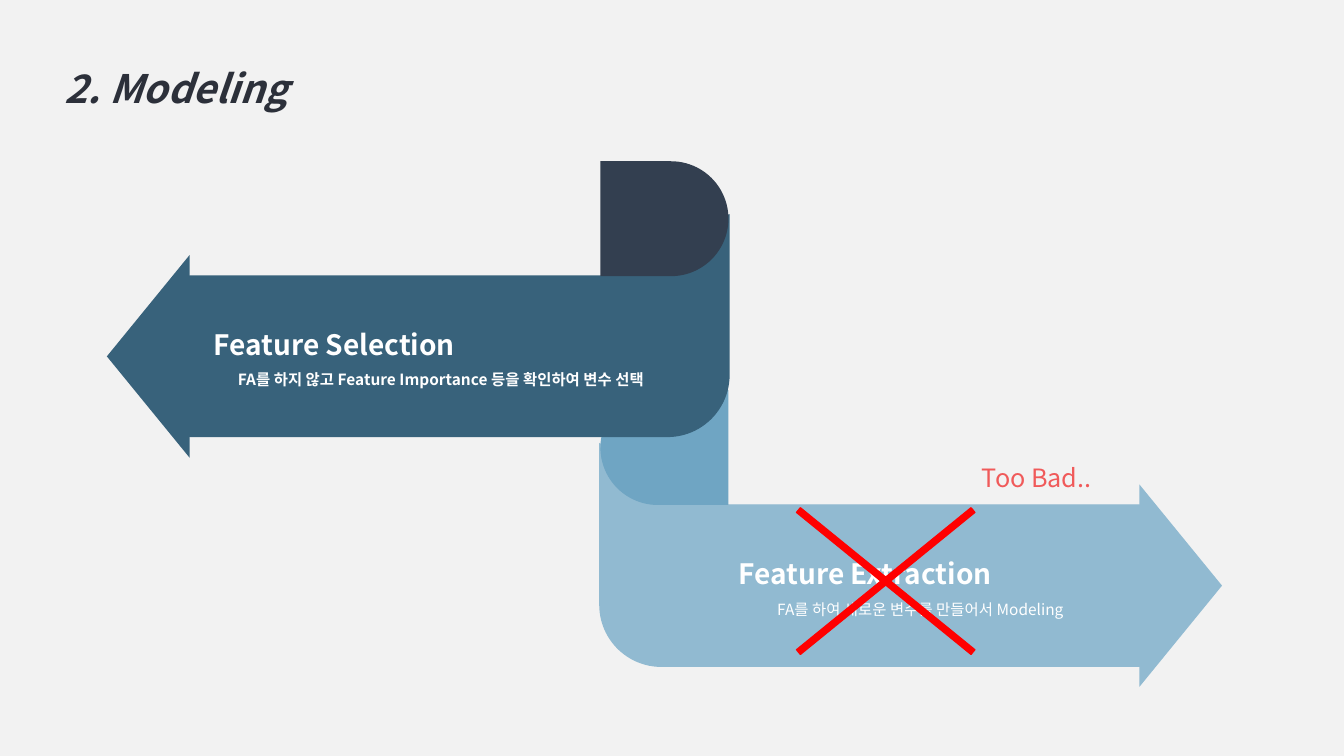
from math import cos, pi, sin

from lxml.etree import SubElement
from pptx import Presentation
from pptx.dml.color import RGBColor
from pptx.enum.shapes import MSO_SHAPE
from pptx.enum.text import MSO_ANCHOR, MSO_AUTO_SIZE, PP_ALIGN
from pptx.oxml.ns import qn
from pptx.util import Inches, Pt

# Content
FONT = "Noto Sans CJK KR"
TITLE = "2. Modeling"
VERDICT = "Too Bad.."
# fold edge, arrowhead base, inner and outer side (inches), pointing direction
EXTRACTION = {
    "color": "91BAD1", "fold": 5.95, "head": 11.3, "inner": 5.01, "outer": 6.61,
    "direction": 1, "text_at": (7.23, 5.31, 4.89, 0.86), "heading": "Feature Extraction",
    "detail": "FA를 하여 새로운 변수를 만들어서 Modeling", "indent": 0.38, "bold": False,
}
SELECTION = {
    "color": "38627B", "fold": 7.23, "head": 1.88, "inner": 2.74, "outer": 4.33,
    "direction": -1, "text_at": (2.02, 3.03, 4.89, 0.86), "heading": "Feature Selection",
    "detail": "FA를 하지 않고 Feature Importance 등을 확인하여 변수 선택", "indent": 0.24, "bold": True,
}
RADIUS = 0.61
ARC_STEPS = 24
HEAD_WIDTH, HEAD_LENGTH = 2.01, 0.82
CURL_WIDTH, CURL_LENGTH = 1.14, 1.27
CURL_CENTER_X = 6.59


def rgb(color):
    return RGBColor.from_string(color)


def paint(shape, color, outlined=False):
    shape.shadow.inherit = False
    shape.fill.solid()
    shape.fill.fore_color.rgb = rgb(color)
    if outlined:
        shape.line.color.rgb = rgb(color)
        shape.line.width = Pt(1)
    else:
        shape.line.fill.background()


def add_turned(preset, center_x, center_y, width, height, angle, color):
    shape = page.shapes.add_shape(
        preset, Inches(center_x - width / 2), Inches(center_y - height / 2),
        Inches(width), Inches(height))
    shape.rotation = angle
    paint(shape, color)
    return shape


def arc(center_x, center_y, start, end, direction):
    angles = [start + (end - start) * step / ARC_STEPS for step in range(ARC_STEPS + 1)]
    return [(center_x + direction * RADIUS * cos(angle), center_y + RADIUS * sin(angle))
            for angle in angles]


def add_ribbon(arrow):
    direction, head = arrow["direction"], arrow["head"]
    bend_x = arrow["fold"] + direction * RADIUS
    points = arc(bend_x, arrow["outer"] - RADIUS, pi, pi / 2, direction)
    points += [(head, arrow["outer"]), (head, arrow["inner"])]
    points += arc(bend_x, arrow["inner"] - RADIUS, pi / 2, pi, direction)
    points = [(Inches(x), Inches(y)) for x, y in points]
    builder = page.shapes.build_freeform(*points[0])
    builder.add_line_segments(points[1:], close=True)
    paint(builder.convert_to_shape(), arrow["color"], outlined=True)


def add_head(arrow):
    direction = arrow["direction"]
    add_turned(MSO_SHAPE.ISOSCELES_TRIANGLE, arrow["head"] + direction * HEAD_LENGTH / 2,
               (arrow["inner"] + arrow["outer"]) / 2, HEAD_WIDTH, HEAD_LENGTH,
               90 * direction, arrow["color"])


def add_curl(arrow, color):
    # The curl sits on the ribbon's inner side, rounded toward its fold
    curl = add_turned(MSO_SHAPE.ROUND_2_SAME_RECTANGLE, CURL_CENTER_X,
                      arrow["inner"] - CURL_WIDTH / 2, CURL_WIDTH, CURL_LENGTH,
                      -90 * arrow["direction"], color)
    curl.adjustments[0] = 0.5
    curl.adjustments[1] = 0


def write(para, text, size, color, bold=False, italic=False, spacing=1.5):
    para.alignment = PP_ALIGN.LEFT
    para.line_spacing = spacing
    para.space_before = Pt(0)
    span = para.add_run()
    span.text = text
    font = span.font
    font.size, font.bold, font.italic = Pt(size), bold, italic
    font.color.rgb = rgb(color)
    font.name = FONT
    SubElement(font._element, qn("a:ea")).set("typeface", FONT)


def add_text_box(left, top, width, height):
    box = page.shapes.add_textbox(Inches(left), Inches(top), Inches(width), Inches(height))
    box.text_frame.word_wrap = True
    return box.text_frame


def add_label(arrow):
    frame = add_text_box(*arrow["text_at"])
    write(frame.paragraphs[0], arrow["heading"], 20, "FFFFFF", bold=True)
    para = frame.add_paragraph()
    para._p.get_or_add_pPr().set("marL", str(Inches(arrow["indent"])))
    write(para, arrow["detail"], 11, "FFFFFF", bold=arrow["bold"])


deck = Presentation()
deck.slide_width, deck.slide_height = Inches(13.33), Inches(7.5)
page = deck.slides.add_slide(deck.slide_layouts[5])
page.background.fill.solid()
page.background.fill.fore_color.rgb = rgb("F2F2F2")

# Title
title = page.shapes.title
title.left, title.top, title.width, title.height = map(Inches, (0.54, 0.35, 6.67, 0.73))
title.text_frame.vertical_anchor = MSO_ANCHOR.TOP
title.text_frame.auto_size = MSO_AUTO_SIZE.NONE
write(title.text_frame.paragraphs[0], TITLE, 28, "2C303A", bold=True, italic=True)

# Folded ribbon arrows, lower one behind the upper one
for arrow, curl_color in ((EXTRACTION, "6FA5C3"), (SELECTION, "333F50")):
    add_ribbon(arrow)
    add_curl(arrow, curl_color)
    add_head(arrow)

# Labels
for arrow in (SELECTION, EXTRACTION):
    add_label(arrow)

# Cross and verdict over the rejected option
cross = page.shapes.add_shape(MSO_SHAPE.MATH_MULTIPLY, Inches(7.12), Inches(4.41),
                              Inches(3.33), Inches(2.71))
cross.adjustments[0] = 0.022
paint(cross, "FF0000", outlined=True)
write(add_text_box(9.64, 4.54, 1.64, 0.4).paragraphs[0], VERDICT, 18, "F05A5A", spacing=1.0)

deck.save("out.pptx")
